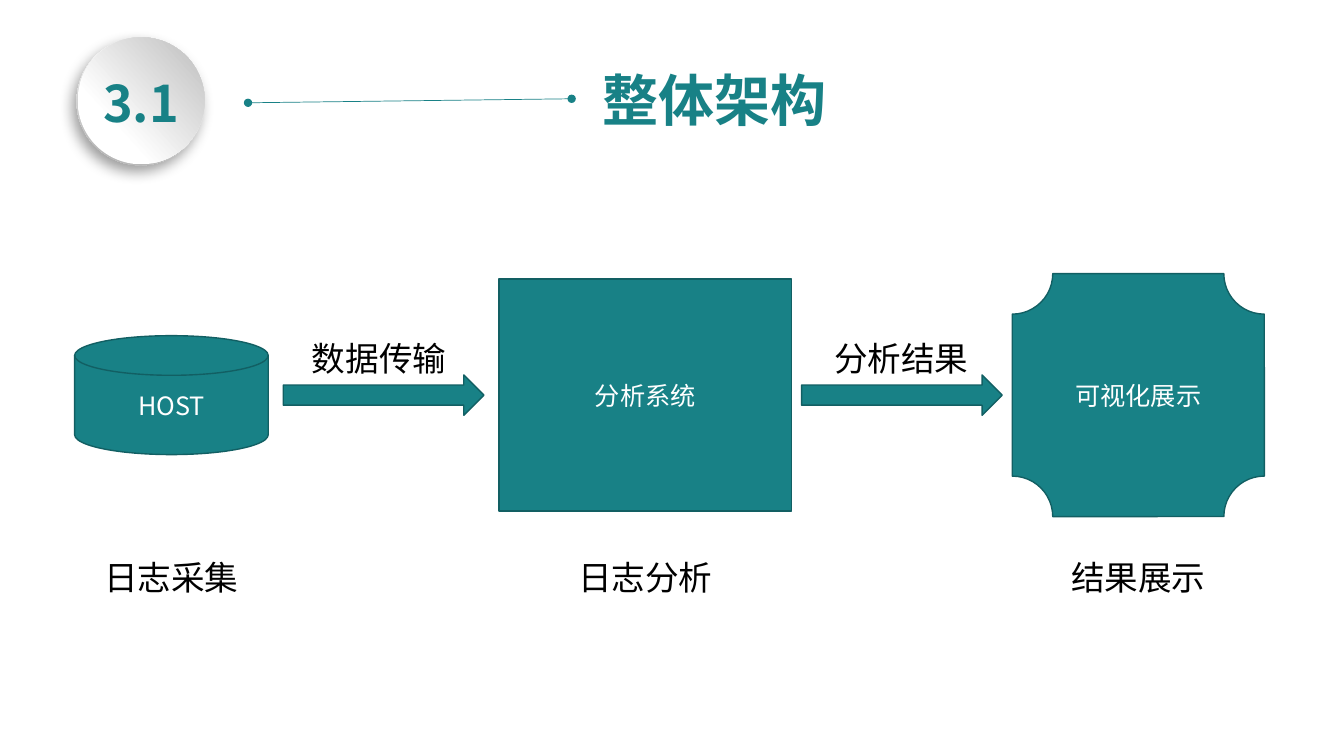
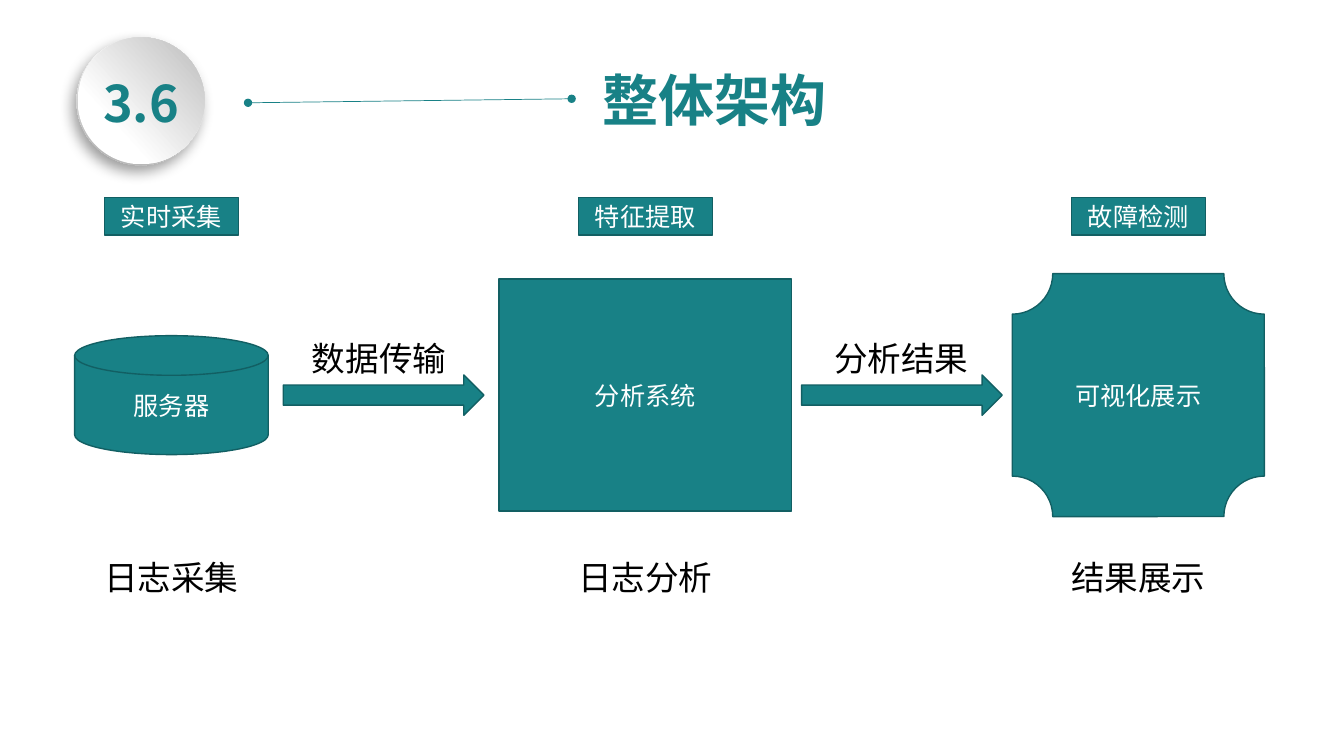
import pptx
import pptx.dml.color
import pptx.enum.shapes
import pptx.enum.text
import pptx.oxml
import pptx.oxml.ns
import pptx.util
from dataclasses import dataclass

Inches = pptx.util.Inches
SHAPE = pptx.enum.shapes.MSO_SHAPE
ALIGN = pptx.enum.text.PP_ALIGN


@dataclass(frozen=True)
class Theme:
    font: str = "Noto Sans CJK SC"
    teal: str = "188186"
    outline: str = "125F63"
    white: str = "FFFFFF"
    black: str = "000000"
    rim_grey: str = "B8B8B8"
    face_grey: str = "BFBFBF"
    title_size: int = 40
    number_size: int = 36
    label_size: int = 24
    node_size: int = 18
    outline_width: float = 1
    rule_width: float = 0.5


THEME = Theme()

TITLE = "整体架构"
SECTIONS = [
    {"number": "3.1", "source": "HOST", "tags": []},
    {"number": "3.6", "source": "服务器", "tags": ["实时采集", "特征提取", "故障检测"]},
]

# Each stage: preset, centre x, width, height, text inside, caption below.
# The text of the first stage is the section's own source.
STAGES = [
    (SHAPE.FLOWCHART_MAGNETIC_DISK, 1.70, 1.92, 1.18, None, "日志采集"),
    (SHAPE.FLOWCHART_PROCESS, 6.40, 2.90, 2.30, "分析系统", "日志分析"),
    (SHAPE.PLAQUE, 11.29, 2.50, 2.41, "可视化展示", "结果展示"),
]
# Each flow between neighbouring stages: label, centre x of the label
FLOWS = [("数据传输", 3.76), ("分析结果", 8.94)]

ROW_CENTRE = 3.92
ARROW_SIZE = (1.99, 0.40)
LABEL_SIZE = (1.55, 0.50)
FLOW_LABEL_TOP = 3.30
CAPTION_TOP = 5.48
TAG_SIZE = (1.33, 0.37)
TAG_TOP = 1.96

# Badge discs: box, gradient stops, gradient angle
BADGE_DISCS = [
    ((0.76, 0.37, 1.27, 1.27), [(0.17, THEME.white), (0.88, THEME.rim_grey)], 253),
    ((0.77, 0.37, 1.26, 1.26), [(0.29, THEME.white), (0.98, THEME.face_grey)], 42),
]


def rgb(value):
    return pptx.dml.color.RGBColor.from_string(value)


def drawing_xml(markup):
    return pptx.oxml.parse_xml(markup.replace(" ", f' {pptx.oxml.ns.nsdecls("a")} ', 1))


def write(frame, text, size, color, bold=False, align=ALIGN.CENTER):
    paragraph = frame.paragraphs[0]
    paragraph.alignment = align
    run = paragraph.add_run()
    run.text = text
    run.font.name = THEME.font
    run.font.size = pptx.util.Pt(size)
    run.font.bold = bold
    run.font.color.rgb = rgb(color)
    latin = run.font._element.find(pptx.oxml.ns.qn("a:latin"))
    latin.addnext(drawing_xml(f'<a:ea typeface="{THEME.font}"/>'))


def add_text(slide, box, text, size, color, wrap=False, **style):
    label = slide.shapes.add_textbox(*map(Inches, box))
    label.text_frame.word_wrap = wrap
    label.text_frame.auto_size = pptx.enum.text.MSO_AUTO_SIZE.SHAPE_TO_FIT_TEXT
    write(label.text_frame, text, size, color, **style)


def add_label(slide, text, centre, top):
    width, height = LABEL_SIZE
    add_text(slide, (centre - width / 2, top, width, height), text,
             THEME.label_size, THEME.black)


def add_block(slide, preset, centre, middle, size, text=None):
    """Add a teal shape around a centre point, with optional white text."""
    width, height = size
    box = (centre - width / 2, middle - height / 2, width, height)
    block = slide.shapes.add_shape(preset, *map(Inches, box))
    block.shadow.inherit = False
    block.fill.solid()
    block.fill.fore_color.rgb = rgb(THEME.teal)
    block.line.color.rgb = rgb(THEME.outline)
    block.line.width = pptx.util.Pt(THEME.outline_width)
    if text:
        block.text_frame.vertical_anchor = pptx.enum.text.MSO_ANCHOR.MIDDLE
        write(block.text_frame, text, THEME.node_size, THEME.white)


def add_badge(slide, number):
    badge = slide.shapes.add_group_shape()
    discs = []
    for box, stops, angle in BADGE_DISCS:
        disc = badge.shapes.add_shape(SHAPE.OVAL, *map(Inches, box))
        disc.shadow.inherit = False
        disc.line.fill.background()
        disc.fill.gradient()
        disc.fill.gradient_angle = angle
        for stop, (position, color) in zip(disc.fill.gradient_stops, stops):
            stop.position = position
            stop.color.rgb = rgb(color)
        discs.append(disc)
    effects = discs[0]._element.spPr.find(pptx.oxml.ns.qn("a:effectLst"))
    effects.append(drawing_xml(
        f'<a:outerShdw blurRad="{pptx.util.Pt(10)}" dist="{pptx.util.Pt(5)}" '
        f'dir="{123 * 60000}" algn="ctr" rotWithShape="0">'
        f'<a:srgbClr val="{THEME.black}"><a:alpha val="39000"/></a:srgbClr>'
        '</a:outerShdw>'))
    add_text(slide, (0.74, 0.67, 1.32, 0.71), number, THEME.number_size,
             THEME.teal, wrap=True, bold=True)


def add_header(slide, number):
    add_badge(slide, number)
    rule = slide.shapes.add_connector(
        pptx.enum.shapes.MSO_CONNECTOR.STRAIGHT,
        *map(Inches, (2.46, 1.02, 5.67, 0.98)))
    rule.line.color.rgb = rgb(THEME.teal)
    rule.line.width = pptx.util.Pt(THEME.rule_width)
    for end in ("headEnd", "tailEnd"):
        rule.line._get_or_add_ln().append(drawing_xml(f'<a:{end} type="oval"/>'))
    rule._element.spPr.append(drawing_xml("<a:effectLst />"))
    add_text(slide, (5.88, 0.60, 2.45, 0.77), TITLE, THEME.title_size,
             THEME.teal, bold=True, align=ALIGN.LEFT)


def add_pipeline(slide, source, tags):
    for preset, centre, width, height, text, caption in STAGES:
        add_block(slide, preset, centre, ROW_CENTRE, (width, height), text or source)
        add_label(slide, caption, centre, CAPTION_TOP)
    for before, after, (label, label_centre) in zip(STAGES, STAGES[1:], FLOWS):
        gap_left = before[1] + before[2] / 2
        gap_right = after[1] - after[2] / 2
        add_block(slide, SHAPE.RIGHT_ARROW, (gap_left + gap_right) / 2,
                  ROW_CENTRE, ARROW_SIZE)
        add_label(slide, label, label_centre, FLOW_LABEL_TOP)
    for stage, tag in zip(STAGES, tags):
        add_block(slide, SHAPE.FLOWCHART_PROCESS, stage[1],
                  TAG_TOP + TAG_SIZE[1] / 2, TAG_SIZE, tag)


def main():
    deck = pptx.Presentation()
    deck.slide_width = Inches(13.33)
    deck.slide_height = Inches(7.5)
    for section in SECTIONS:
        slide = deck.slides.add_slide(deck.slide_layouts[6])
        add_header(slide, section["number"])
        add_pipeline(slide, section["source"], section["tags"])
    deck.save("out.pptx")


if __name__ == "__main__":
    main()
